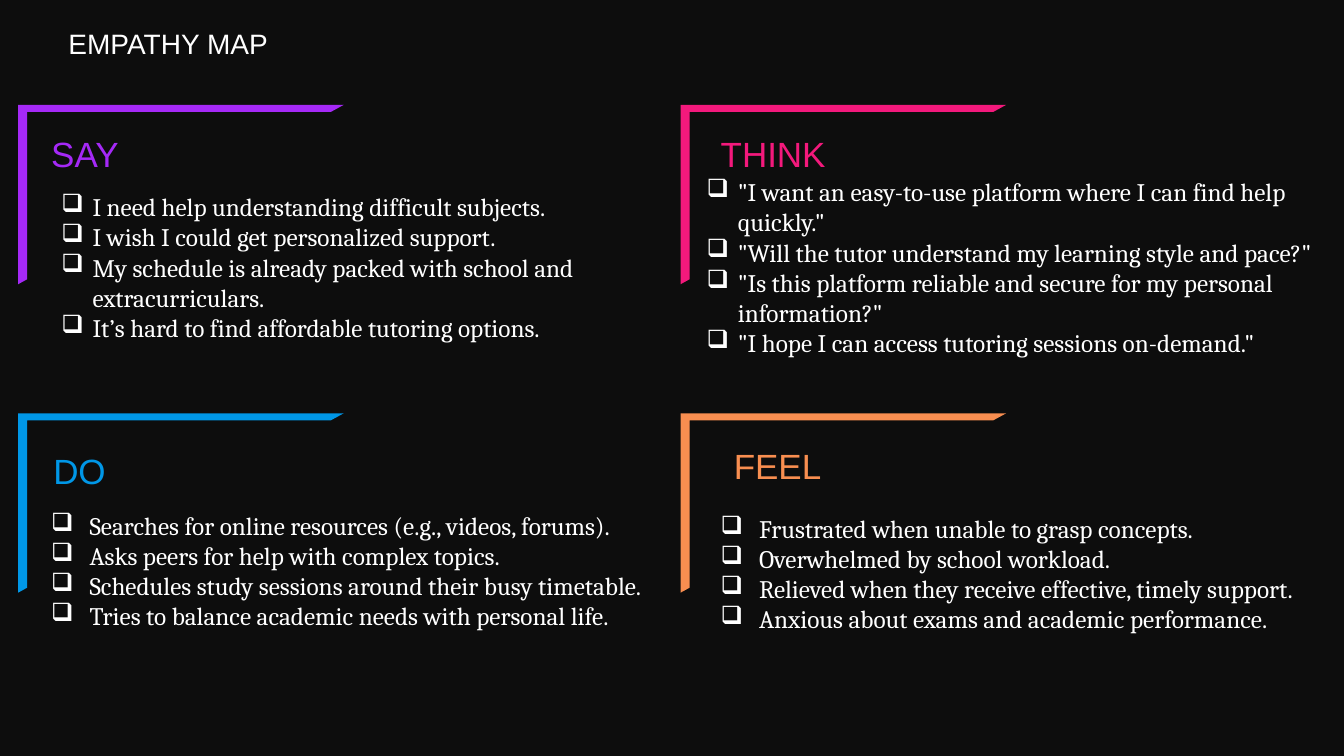
from dataclasses import dataclass

from lxml.etree import SubElement
from pptx import Presentation
from pptx.dml.color import RGBColor
from pptx.enum.shapes import MSO_SHAPE
from pptx.enum.text import MSO_AUTO_SIZE
from pptx.oxml.ns import qn
from pptx.util import Pt

SCALE = 9144


@dataclass(frozen=True)
class Theme:
    """Colours, fonts and type sizes of the slide."""
    back: str = "0D0D0D"
    text: str = "FFFFFF"
    say: str = "A529F7"
    think: str = "F3197C"
    do: str = "0097E7"
    feel: str = "F88E50"
    head: str = "Arial"
    body: str = "Cambria"
    title: int = 20
    label: int = 25
    item: int = 18


THEME = Theme()
LEFT, RIGHT = 18, 675
TOP, LOW = 104, 410
PANELS = [
    ((LEFT, TOP), THEME.say, "SAY", (41, 127, 102, 52), (51, 185, 667, 162), 31, [
        "I need help understanding difficult subjects.",
        "I wish I could get personalized support.",
        "My schedule is already packed with school and extracurriculars.",
        "It’s hard to find affordable tutoring options.",
    ]),
    ((RIGHT, TOP), THEME.think, "THINK", (705, 127, 157, 52), (691, 170, 660, 222), 31, [
        '"I want an easy-to-use platform where I can find help quickly."',
        '"Will the tutor understand my learning style and pace?"',
        '"Is this platform reliable and secure for my personal information?"',
        '"I hope I can access tutoring sessions on-demand."',
    ]),
    ((LEFT, LOW), THEME.do, "DO", (43, 441, 81, 52), (41, 501, 649, 192), 38, [
        "Searches for online resources (e.g., videos, forums).",
        "Asks peers for help with complex topics.",
        "Schedules study sessions around their busy timetable.",
        "Tries to balance academic needs with personal life.",
    ]),
    ((RIGHT, LOW), THEME.feel, "FEEL", (718, 436, 131, 52), (705, 504, 629, 162), 38, [
        "Frustrated when unable to grasp concepts.",
        "Overwhelmed by school workload.",
        "Relieved when they receive effective, timely support.",
        "Anxious about exams and academic performance.",
    ]),
]


def px(*sizes):
    """Turn px lengths into EMU."""
    return [size * SCALE for size in sizes]


def add_mark(para, indent):
    """Give a paragraph a box bullet with a hanging indent."""
    props = para._p.get_or_add_pPr()
    [hang] = px(indent)
    props.set("marL", str(hang))
    props.set("indent", str(-hang))
    SubElement(props, qn("a:buChar")).set("char", "❑")


def add_text(slide, box, lines, face, size, color, indent=0):
    """Add a text box, bulleted when an indent is given."""
    frame = slide.shapes.add_textbox(*px(*box)).text_frame
    frame.word_wrap = True
    frame.auto_size = MSO_AUTO_SIZE.SHAPE_TO_FIT_TEXT
    frame.text = "\n".join(lines)
    for para in frame.paragraphs:
        if indent:
            add_mark(para, indent)
        font = para.font
        font.name = face
        font.size = Pt(size)
        font.color.rgb = RGBColor.from_string(color)


def add_frame(slide, spot, color):
    """Add the corner frame of a panel."""
    frame = slide.shapes.add_shape(MSO_SHAPE.HALF_FRAME, *px(*spot, 323, 178))
    frame.adjustments[0] = 0.04
    frame.adjustments[1] = 0.05
    frame.shadow.inherit = False
    frame.fill.solid()
    frame.fill.fore_color.rgb = RGBColor.from_string(color)
    frame.line.fill.background()


def add_panel(slide, spot, color, label, head, body, indent, items):
    """Add one quadrant of the empathy map."""
    add_frame(slide, spot, color)
    add_text(slide, head, [label], THEME.head, THEME.label, color)
    add_text(slide, body, items, THEME.body, THEME.item, THEME.text, indent)


def main():
    """Build the empathy map slide."""
    deck = Presentation()
    deck.slide_width, deck.slide_height = px(1333, 750)
    slide = deck.slides.add_slide(deck.slide_layouts[6])
    fill = slide.background.fill
    fill.solid()
    fill.fore_color.rgb = RGBColor.from_string(THEME.back)
    add_text(slide, (58, 21, 323, 44), ["EMPATHY MAP"], THEME.head, THEME.title, THEME.text)
    for panel in PANELS:
        add_panel(slide, *panel)
    deck.save("out.pptx")


if __name__ == "__main__":
    main()
